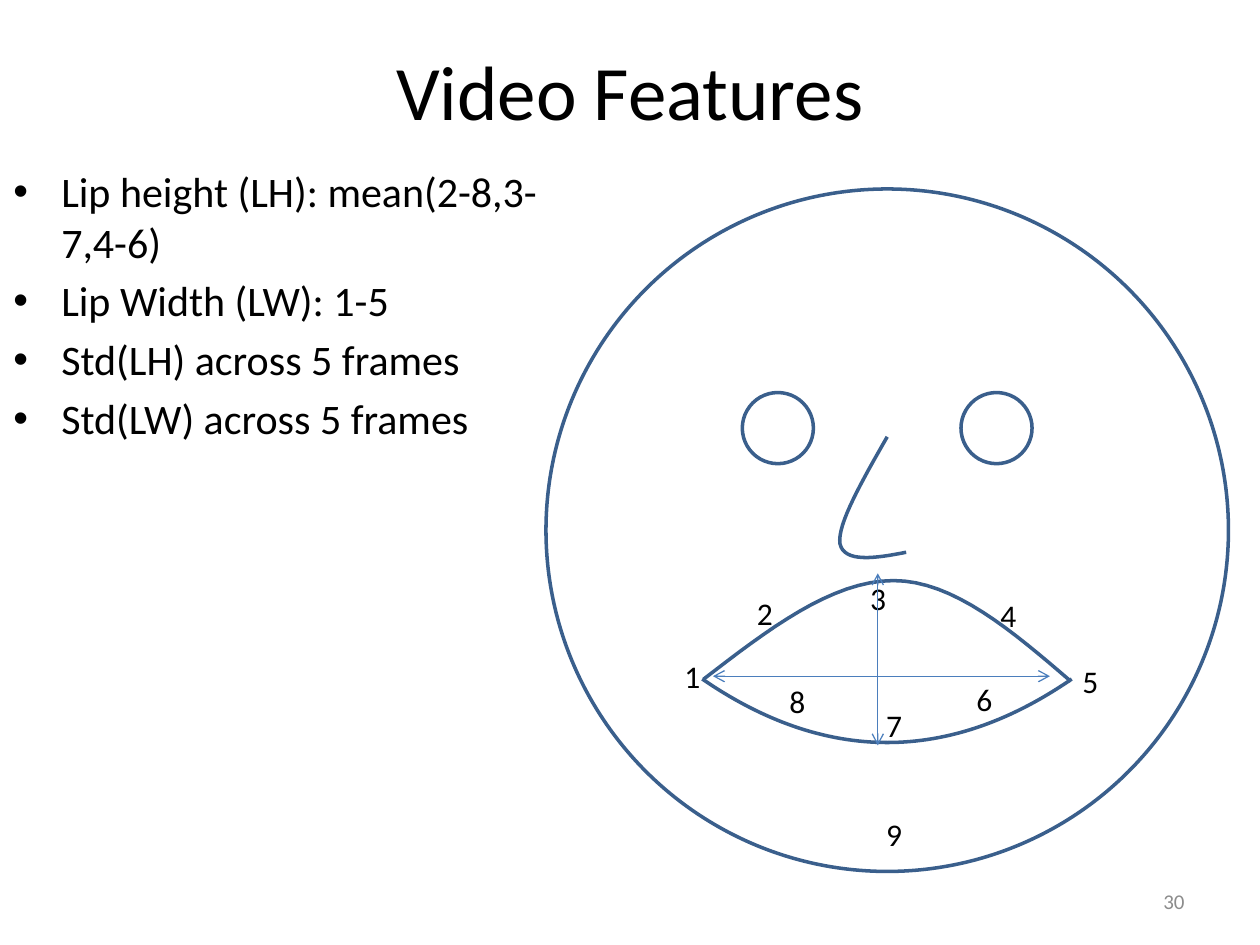
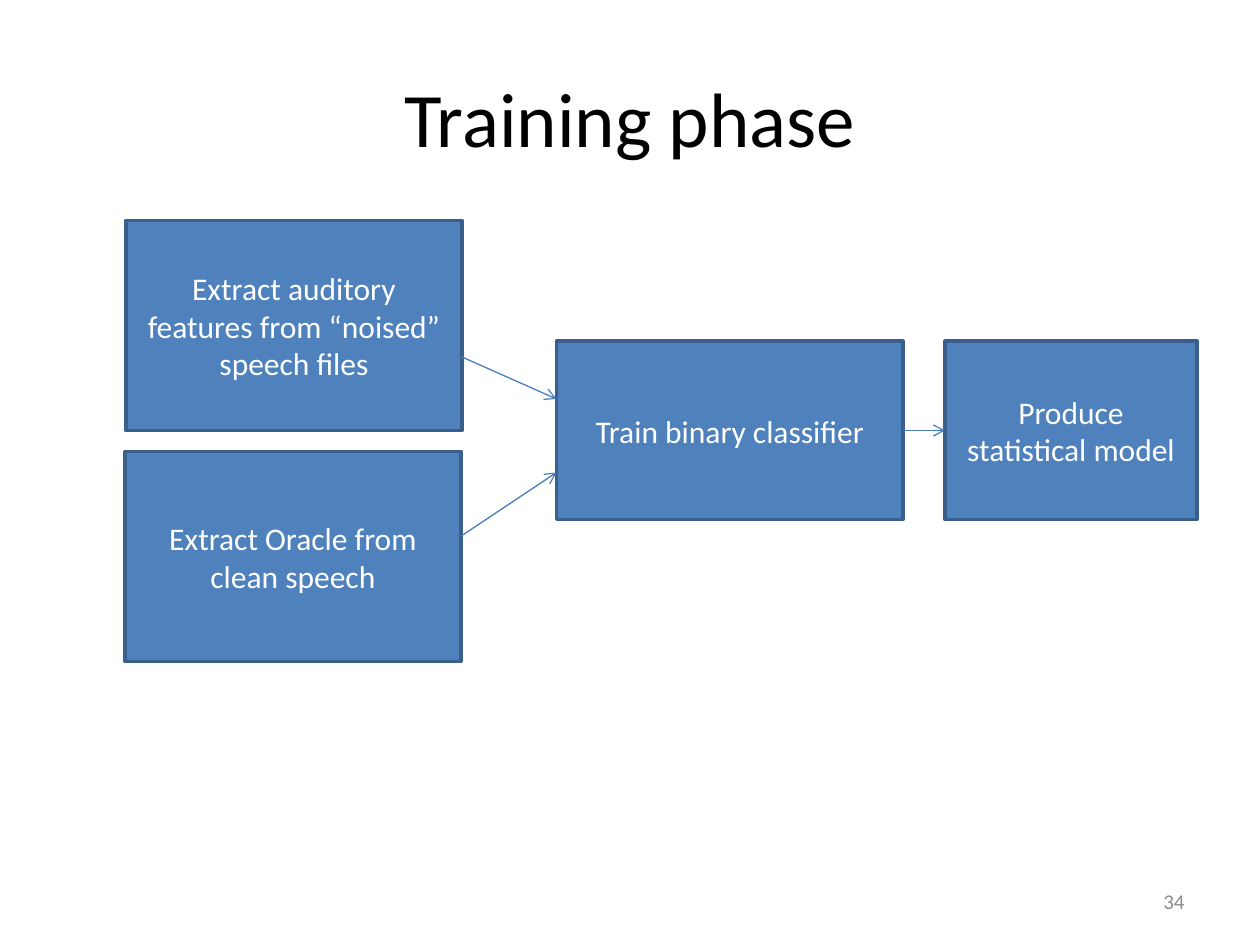
from itertools import pairwise

from lxml.etree import SubElement
from pptx import Presentation
from pptx.dml.color import RGBColor
from pptx.enum.shapes import MSO_CONNECTOR, MSO_SHAPE
from pptx.enum.text import MSO_ANCHOR, PP_ALIGN
from pptx.oxml.ns import qn
from pptx.util import Inches, Pt

COLORS = {"text": "000000", "white": "FFFFFF", "box": "4F81BD",
          "outline": "3A5F8C", "arrow": "4B7EBC", "number": "8C8C8C"}
FONT = "Calibri"
COLS, ROWS = 120, 90
CURVE_STEPS = 16


def rgb(name):
    return RGBColor.from_string(COLORS[name])


def set_bullet(p, indent):
    pPr = p._p.get_or_add_pPr()
    pPr.set("marL", str(indent))
    pPr.set("indent", str(-indent))
    SubElement(pPr, qn("a:buFont"), typeface="Arial")
    SubElement(pPr, qn("a:buChar"), char="•")


def write_text(tf, text, size=18, color="text", align=PP_ALIGN.LEFT,
               anchor=MSO_ANCHOR.TOP, wrap=True, bullets=False):
    tf.word_wrap = wrap
    tf.vertical_anchor = anchor
    for i, line in enumerate(text.split("\n")):
        p = tf.add_paragraph() if i else tf.paragraphs[0]
        p.alignment = align
        if bullets:
            p.space_before = Pt(0.2 * size)
            set_bullet(p, Inches(0.38))
        r = p.add_run()
        r.text = line
        r.font.name, r.font.size = FONT, Pt(size)
        r.font.color.rgb = rgb(color)


def bezier(points, t):
    while len(points) > 1:
        points = [tuple(a + (b - a) * t for a, b in zip(p, q))
                  for p, q in pairwise(points)]
    return points[0]


class Deck:
    """Draw styled elements on the current slide, placed by grid columns and rows."""

    def __init__(self):
        self.prs = Presentation()
        self.prs.slide_width, self.prs.slide_height = Inches(10), Inches(7.5)

    def place(self, *lengths):
        units = (self.prs.slide_width / COLS, self.prs.slide_height / ROWS)
        return [round(n * units[i % 2]) for i, n in enumerate(lengths)]

    def slide(self, title, number, title_row):
        self.s = self.prs.slides.add_slide(self.prs.slide_layouts[6])
        self.text(title, (6, title_row, 108, 15), size=44,
                  align=PP_ALIGN.CENTER, anchor=MSO_ANCHOR.MIDDLE)
        self.text(str(number), (86, 83.4, 28, 4.8), size=12, color="number",
                  align=PP_ALIGN.RIGHT, anchor=MSO_ANCHOR.MIDDLE)

    def text(self, text, at, **fmt):
        sp = self.s.shapes.add_textbox(*self.place(*at))
        write_text(sp.text_frame, text, **fmt)

    def style(self, sp, fill=None):
        sp.shadow.inherit = False
        if fill:
            sp.fill.solid()
            sp.fill.fore_color.rgb = rgb(fill)
        else:
            sp.fill.background()
        sp.line.color.rgb, sp.line.width = rgb("outline"), Pt(2)

    def shape(self, kind, at, fill=None):
        sp = self.s.shapes.add_shape(kind, *self.place(*at))
        self.style(sp, fill)
        return sp

    def box(self, text, at):
        sp = self.shape(MSO_SHAPE.RECTANGLE, at, "box")
        write_text(sp.text_frame, text, color="white",
                   align=PP_ALIGN.CENTER, anchor=MSO_ANCHOR.MIDDLE)
        return sp

    def curve(self, points):
        """Draw joined cubic segments through every third point."""
        path = [bezier(points[i:i + 4], step / CURVE_STEPS)
                for i in range(0, len(points) - 1, 3)
                for step in range(1, CURVE_STEPS + 1)]
        fb = self.s.shapes.build_freeform(*self.place(*points[0]))
        fb.add_line_segments([self.place(*pt) for pt in path], close=False)
        self.style(fb.convert_to_shape())

    def arrow(self, start, end, both=False):
        c = self.s.shapes.add_connector(MSO_CONNECTOR.STRAIGHT,
                                        *self.place(*start, *end))
        c.line.color.rgb, c.line.width = rgb("arrow"), Pt(0.75)
        ln = c.line._get_or_add_ln()
        for tag in ("a:headEnd", "a:tailEnd") if both else ("a:tailEnd",):
            SubElement(ln, qn(tag), type="arrow")
        SubElement(c._element.spPr, qn("a:effectLst"))
        return c


def video_features(deck):
    deck.slide("Video Features", 30, title_row=1)
    deck.text("Lip height (LH): mean(2-8,3-7,4-6)\nLip Width (LW): 1-5\n"
              "Std(LH) across 5 frames\nStd(LW) across 5 frames",
              (0.1, 15.2, 57.8, 37.6), size=24, bullets=True)
    deck.shape(MSO_SHAPE.SMILEY_FACE, (52, 18, 65, 65))
    upper_lip = [(67, 64.7), (73.1, 60), (79.2, 55.3), (85.1, 55.3),
                 (90.8, 55.3), (96.4, 60.1), (102, 64.9)]
    nose = [(84.5, 41.6), (82.1, 45.8), (79.7, 50), (80, 51.8),
            (80.4, 53.6), (83.3, 53.2), (86.3, 52.6)]
    for points in (upper_lip, nose):
        deck.curve(points)
    markers = [(64, 62), (70.9, 56), (81.7, 54.6), (94.1, 56.2), (101.9, 62.5),
               (91.8, 64.2), (83.2, 66.7), (74, 64.4), (83.2, 77)]
    for number, corner in enumerate(markers, 1):
        deck.text(str(number), (*corner, 4, 4.8), wrap=False)
    deck.arrow((83.6, 54.6), (83.6, 71), both=True)
    deck.arrow((67.9, 64.4), (100, 64.4), both=True)


def training_phase(deck):
    deck.slide("Training phase", 34, title_row=3.6)
    deck.box("Extract auditory features from “noised” speech files", (12, 21, 32, 20))
    deck.box("Extract Oracle from clean speech", (11.9, 43, 32, 20))
    train = deck.box("Train binary classifier", (53, 32.5, 33, 17))
    deck.arrow((44, 34), (53, 38))
    deck.arrow((44, 51), (53, 45))
    model = deck.box("Produce statistical model", (90, 32.5, 24, 17))
    c = deck.arrow((86, 41), (90, 41))
    c.begin_connect(train, 3)
    c.end_connect(model, 1)


def main():
    deck = Deck()
    video_features(deck)
    training_phase(deck)
    deck.prs.save("out.pptx")


if __name__ == "__main__":
    main()
